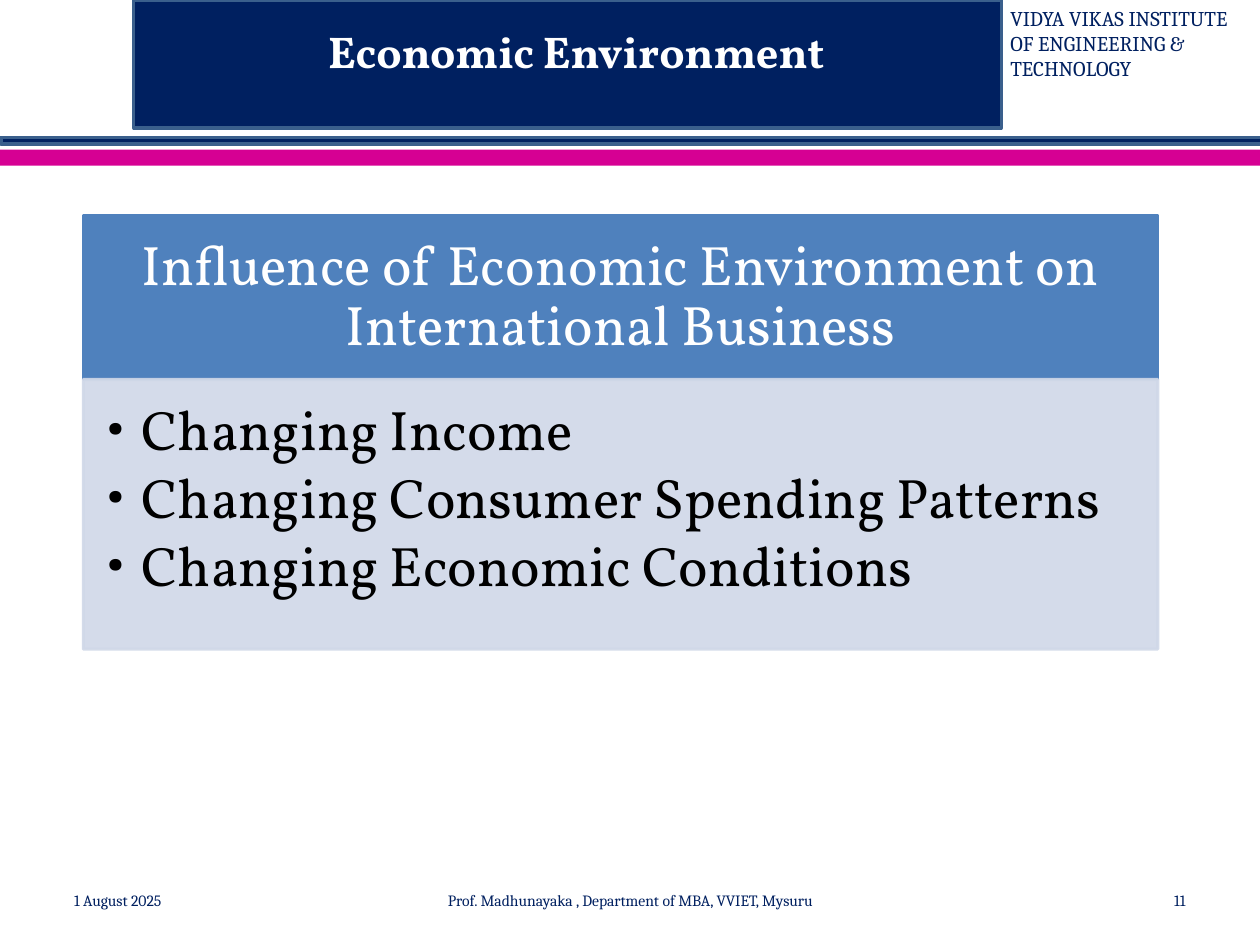
from lxml import etree
from pptx import Presentation
from pptx.dml.color import RGBColor
from pptx.enum.shapes import MSO_SHAPE
from pptx.enum.text import MSO_ANCHOR, PP_ALIGN
from pptx.oxml.ns import qn
from pptx.util import Inches, Pt

NAVY = RGBColor(0x00, 0x20, 0x60)
NAVY_EDGE = RGBColor(0x3A, 0x5F, 0x8C)
MAGENTA = RGBColor(0xD6, 0x00, 0x93)
BLUE = RGBColor(0x4F, 0x81, 0xBD)
PALE_BLUE = RGBColor(0xD0, 0xD8, 0xE8)
WHITE = RGBColor(0xFF, 0xFF, 0xFF)
BLACK = RGBColor(0x00, 0x00, 0x00)

CM_PER_INCH = 2.54
SLIDE_W, SLIDE_H = 28 / CM_PER_INCH, 21 / CM_PER_INCH
BODY_FONT = "Vollkorn"
SMALL_FONT = "Cambria"
BODY_SIZE = 35
INSETS = (0.1, 0.05, 0.1, 0.05)


def add_rect(slide, x, y, w, h, fill, edge=None, opacity=None):
    sp = slide.shapes.add_shape(
        MSO_SHAPE.RECTANGLE, Inches(x), Inches(y), Inches(w), Inches(h))
    sp.shadow.inherit = False
    sp.fill.solid()
    sp.fill.fore_color.rgb = fill
    if edge is None:
        sp.line.fill.background()
    else:
        sp.line.color.rgb = edge
        sp.line.width = Pt(2)
    if opacity is not None:
        for color in sp._element.spPr.iter(qn("a:srgbClr")):
            etree.SubElement(color, qn("a:alpha"), val=str(opacity * 1000))
    return sp


def set_frame(sp, anchor=MSO_ANCHOR.TOP, insets=INSETS):
    tf = sp.text_frame
    tf.word_wrap = True
    tf.vertical_anchor = anchor
    tf.margin_left, tf.margin_top, tf.margin_right, tf.margin_bottom = (
        Inches(inset) for inset in insets)
    return tf


def write(p, text, font, size, color, align=PP_ALIGN.LEFT, bold=False):
    p.alignment = align
    r = p.add_run()
    r.text = text
    r.font.name = font
    r.font.size = Pt(size)
    r.font.bold = bold
    r.font.color.rgb = color


def add_text(slide, x, y, w, h, text, font, size, color,
             align=PP_ALIGN.LEFT, anchor=MSO_ANCHOR.TOP, bold=False):
    sp = slide.shapes.add_textbox(Inches(x), Inches(y), Inches(w), Inches(h))
    tf = set_frame(sp, anchor)
    write(tf.paragraphs[0], text, font, size, color, align, bold)


def add_bullet(p):
    pPr = p._p.get_or_add_pPr()
    pPr.set("marL", str(Inches(0.31)))
    pPr.set("indent", str(-Inches(0.31)))
    etree.SubElement(pPr, qn("a:buFont"), typeface=BODY_FONT)
    etree.SubElement(pPr, qn("a:buChar"), char="•")


def add_header(slide, x, y, w):
    add_rect(slide, x + 1.17, y, 7.59, 1.12, NAVY, NAVY_EDGE)
    add_rect(slide, x + 0.01, y + 1.2, w, 0.06, NAVY, NAVY_EDGE)
    add_text(slide, x + 8.74, y, 2.28, 0.77,
             "VIDYA VIKAS INSTITUTE OF ENGINEERING & TECHNOLOGY",
             SMALL_FONT, 13.2, NAVY)
    add_rect(slide, x, y + 1.31, w, 0.14, MAGENTA)
    add_text(slide, x + 1.4, y + 0.16, 7.28, 0.9, "Economic Environment",
             BODY_FONT, 28, WHITE, PP_ALIGN.CENTER, bold=True)


def add_topic(slide, x, y, w, heading, points):
    heading_h, points_h = 1.43, 2.36
    sp = add_rect(slide, x, y, w, heading_h, BLUE, BLUE)
    tf = set_frame(sp, MSO_ANCHOR.MIDDLE, (0.27, 0.16, 0.27, 0.16))
    p = tf.paragraphs[0]
    write(p, heading, BODY_FONT, BODY_SIZE, WHITE, PP_ALIGN.CENTER)
    p.line_spacing = 0.9
    p.space_after = Pt(12)

    sp = add_rect(slide, x, y + heading_h, w, points_h,
                  PALE_BLUE, PALE_BLUE, opacity=90)
    tf = set_frame(sp, insets=(0.2, 0.2, 0.27, 0.31))
    for i, point in enumerate(points):
        p = tf.add_paragraph() if i else tf.paragraphs[0]
        add_bullet(p)
        write(p, point, BODY_FONT, BODY_SIZE, BLACK)
        p.line_spacing = 0.9
        p.space_after = Pt(5)


def add_footer(slide, x, y, h):
    parts = [
        (0, 2.57, "1 August 2025", PP_ALIGN.LEFT),
        (3.22, 3.49, "Prof. Madhunayaka , Department of MBA, VVIET, Mysuru",
         PP_ALIGN.CENTER),
        (7.35, 2.57, "11", PP_ALIGN.RIGHT),
    ]
    for dx, w, text, align in parts:
        add_text(slide, x + dx, y, w, h, text, SMALL_FONT, 9.9, NAVY,
                 align, MSO_ANCHOR.MIDDLE)


def main():
    prs = Presentation()
    prs.slide_width, prs.slide_height = Inches(SLIDE_W), Inches(SLIDE_H)
    prs.element.sldSz.attrib.pop("type", None)
    slide = prs.slides.add_slide(prs.slide_layouts[6])
    add_header(slide, 0, 0, 11.03)
    add_footer(slide, 0.55, 7.66, 0.44)
    add_topic(slide, 0.73, 1.89, 9.4,
              "Influence of Economic Environment on International Business",
              ["Changing Income",
               "Changing Consumer Spending Patterns",
               "Changing Economic Conditions"])
    prs.save("out.pptx")


if __name__ == "__main__":
    main()
